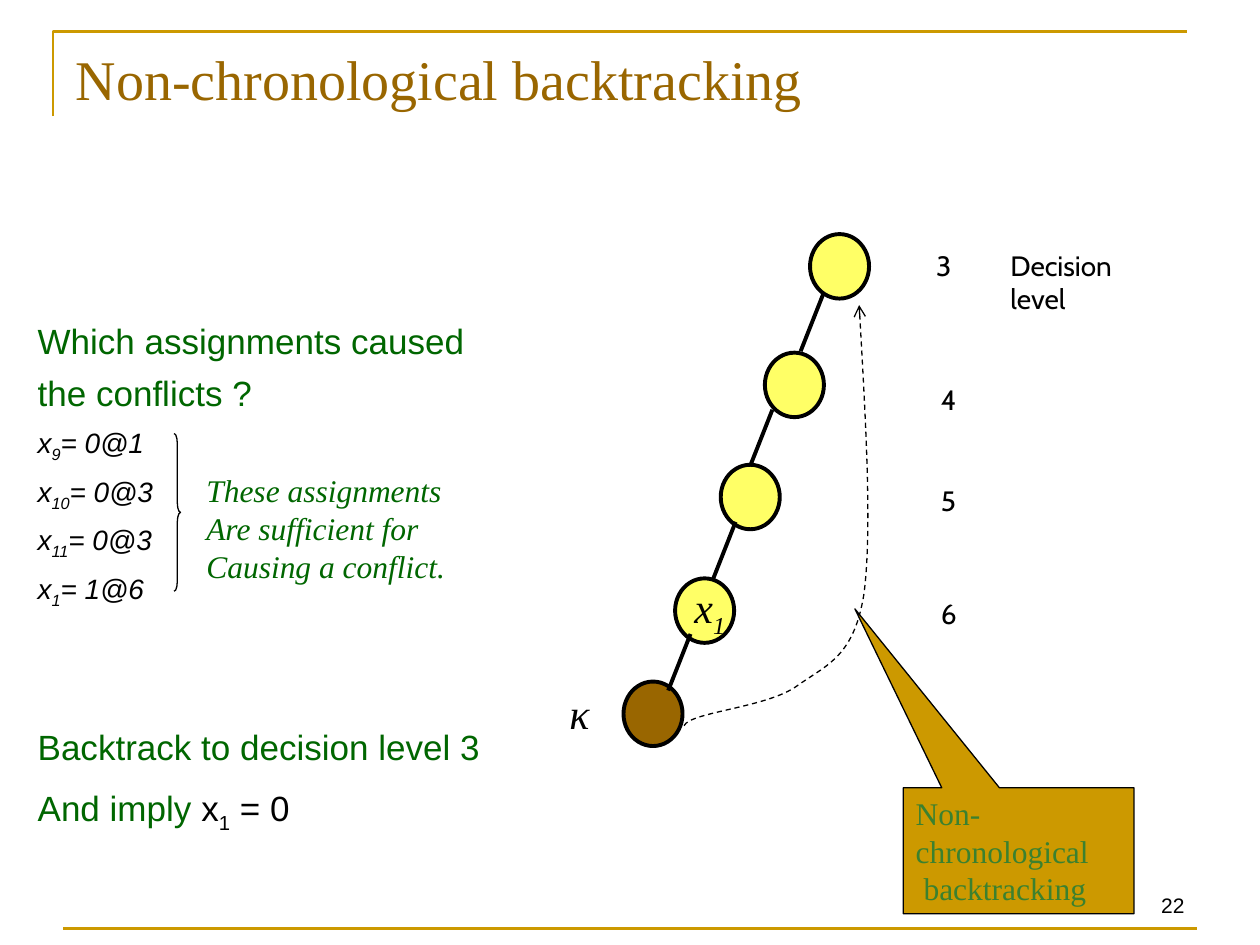
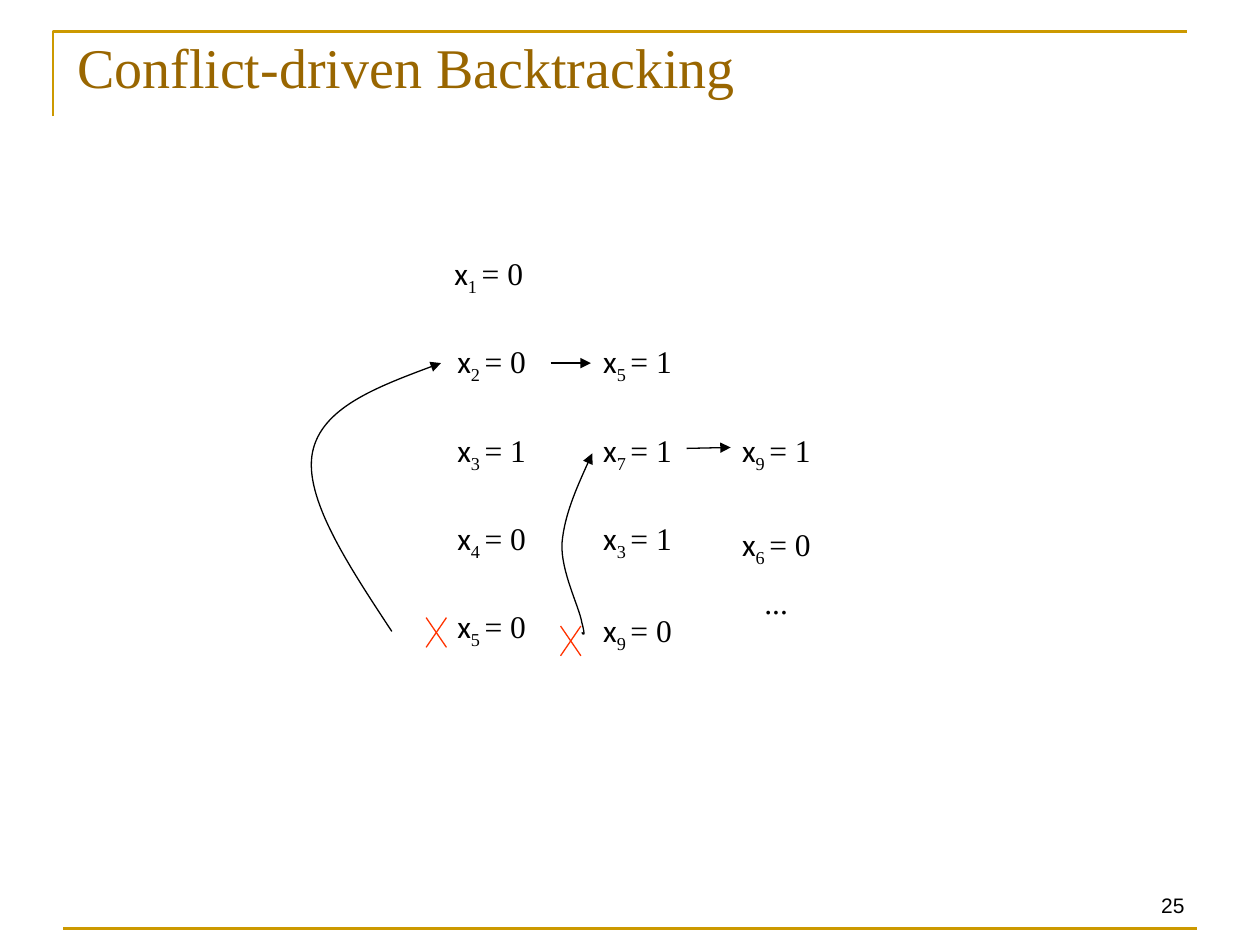
import lxml.etree
import pptx
import pptx.dml.color
import pptx.enum.dml
import pptx.enum.shapes
import pptx.enum.text
import pptx.oxml.ns
import pptx.util

Cm, Pt, qn = pptx.util.Cm, pptx.util.Pt, pptx.oxml.ns.qn
SHAPE = pptx.enum.shapes.MSO_SHAPE
ANCHOR = pptx.enum.text.MSO_ANCHOR
ALIGN = pptx.enum.text.PP_ALIGN

BLACK, GOLD, BROWN = "000000", "CC9900", "996600"
YELLOW, GREEN, LEAF, RED = "FFFF66", "006600", "3B812F", "FF3300"
SERIF, SANS, LABEL, VARIABLE = "Times New Roman", "Arial", "Cabin", "Calibri"


# Shared helpers; all lengths are in centimetres

def rgb(value):
    return pptx.dml.color.RGBColor.from_string(value)


def style_font(span, size, color, font, italic=False):
    span.font.size = Pt(size)
    span.font.name = font
    span.font.italic = italic
    span.font.color.rgb = rgb(color)


def write(para, text, size=18, color=BLACK, font=SERIF, italic=False):
    """Add text to a paragraph; parts between underscores are subscripts."""
    for index, part in enumerate(text.split("_")):
        if part:
            span = para.add_run()
            span.text = part
            style_font(span, size, color, font, italic)
            if index % 2:
                span.font._element.set("baseline", "-25000")


def write_lines(frame, lines, **style):
    for index, line in enumerate(lines):
        para = frame.add_paragraph() if index else frame.paragraphs[0]
        para.alignment = ALIGN.LEFT
        write(para, line, **style)


def add_text(slide, left, top, width, height, lines=(), **style):
    box = slide.shapes.add_textbox(Cm(left), Cm(top), Cm(width), Cm(height))
    box.text_frame.word_wrap = True
    write_lines(box.text_frame, lines, **style)
    return box.text_frame


def style_line(shape, color, weight, head=None, dashed=False):
    shape.line.color.rgb = rgb(color)
    shape.line.width = Pt(weight)
    if dashed:
        shape.line.dash_style = pptx.enum.dml.MSO_LINE.DASH
    if head:
        outline = shape.element.spPr.find(qn("a:ln"))
        lxml.etree.SubElement(outline, qn("a:tailEnd"), type=head)


def add_shape(slide, kind, left, top, width, height, fill=None, weight=0.75):
    shape = slide.shapes.add_shape(kind, Cm(left), Cm(top), Cm(width), Cm(height))
    shape.shadow.inherit = False
    if fill:
        shape.fill.solid()
        shape.fill.fore_color.rgb = rgb(fill)
    else:
        shape.fill.background()
    style_line(shape, BLACK, weight)
    return shape


def add_line(shapes, start, end, color=BLACK, weight=0.75, head=None):
    line = shapes.add_connector(
        pptx.enum.shapes.MSO_CONNECTOR.STRAIGHT,
        Cm(start[0]), Cm(start[1]), Cm(end[0]), Cm(end[1]))
    style_line(line, color, weight, head)
    lxml.etree.SubElement(line.element.spPr, qn("a:effectLst"))


def add_outline(slide, points, color=BLACK, weight=0.75, head=None, dashed=False):
    corners = [(int(Cm(x)), int(Cm(y))) for x, y in points]
    builder = slide.shapes.build_freeform(*corners[0])
    builder.add_line_segments(corners[1:], close=False)
    shape = builder.convert_to_shape()
    shape.fill.background()
    shape.shadow.inherit = False
    style_line(shape, color, weight, head, dashed)
    return shape


def add_curve(slide, left, top, points, **style):
    """Draw a Bézier curve: a start, then two controls and an end per segment."""
    shape = add_outline(slide, [(left + x, top + y) for x, y in points], **style)
    outline = shape.element.find(".//" + qn("a:path"))
    steps = outline.findall(qn("a:lnTo"))
    for first in range(0, len(steps), 3):
        bend = lxml.etree.SubElement(outline, qn("a:cubicBezTo"))
        for step in steps[first:first + 3]:
            bend.append(step[0])
            outline.remove(step)


def start_slide(deck, title, title_box, number):
    """Title, gold frame and page number of every slide."""
    slide = deck.slides.add_slide(deck.slide_layouts[5])
    add_outline(slide, [(1.07, 2.34), (1.07, 0.64), (23.93, 0.64)], GOLD, 1.5)
    add_line(slide.shapes, (1.27, 18.72), (24.13, 18.72), GOLD, 1.5)
    footer = add_text(slide, 18.21, 17.35, 5.92, 1.27, [number], size=12, font=SANS)
    footer.vertical_anchor = ANCHOR.BOTTOM
    footer.paragraphs[0].alignment = ALIGN.RIGHT

    holder = slide.shapes.title
    holder.left, holder.top, holder.width, holder.height = map(Cm, title_box)
    frame = holder.text_frame
    frame.text = title
    frame.auto_size = pptx.enum.text.MSO_AUTO_SIZE.NONE
    frame.vertical_anchor = ANCHOR.TOP
    frame.paragraphs[0].alignment = ALIGN.LEFT
    style_font(frame.paragraphs[0].runs[0], 32, BROWN, SERIF)
    return slide


# Slide 1: decision tree and the assignments behind the conflict

def draw_decision_tree(slide, left, top):
    # Jump back to level 3
    add_curve(slide, left, top, [
        (2.59, 9.93), (2.72, 9.65), (4.27, 9.57), (4.88, 9.12),
        (5.49, 8.69), (6.02, 8.53), (6.22, 7.26),
        (6.38, 5.99), (6.25, 3.71), (6.12, 1.45)], head="arrow", dashed=True)

    # Decisions, from the top down to the conflict
    nodes = [(5.13, 0.02, YELLOW), (4.22, 2.41, YELLOW), (3.33, 4.67, YELLOW),
             (2.41, 6.96, YELLOW), (1.37, 9.04, BROWN)]
    circles = [add_shape(slide, SHAPE.OVAL, left + x, top + y, 1.19, 1.3, fill, 2.25)
               for x, y, fill in nodes]
    frame = circles[3].text_frame
    frame.word_wrap = False
    frame.vertical_anchor = ANCHOR.MIDDLE
    write_lines(frame, [" x_1_"], size=24, italic=True)
    frame.paragraphs[0].alignment = ALIGN.CENTER
    for x, y in [(5.39, 1.24), (4.37, 3.56), (3.63, 5.82), (2.72, 8.08)]:
        add_line(slide.shapes, (left + x, top + y),
                 (left + x - 0.45, top + y + 1.14), weight=2.25)

    # Labels
    for level, x, y in [("3", 7.42, 0.18), ("4", 7.52, 2.89),
                        ("5", 7.52, 4.93), ("6", 7.52, 7.21)]:
        add_text(slide, left + x, top + y, 0.76, 0.94, [level], size=16, font=LABEL)
    add_text(slide, left + 8.92, top + 0.18, 3, 1.63, ["Decision level"],
             size=16, font=LABEL)
    add_text(slide, left + 0.03, top + 9.04, 0.89, 1.27, ["κ"], size=24, italic=True)

    # Callout
    callout = add_shape(slide, SHAPE.RECTANGULAR_CALLOUT,
                        left + 7.01, top + 11.18, 4.65, 2.54, GOLD)
    callout.adjustments[0], callout.adjustments[1] = -0.71, -1.92
    callout.text_frame.word_wrap = True
    callout.text_frame.vertical_anchor = ANCHOR.TOP
    write_lines(callout.text_frame, ["Non-chronological", " backtracking"], color=LEAF)


def draw_assignments(slide, left, top):
    heading = dict(size=20, color=GREEN, font=SANS)
    value = dict(size=16, font=SANS, italic=True)
    lines = [
        ("Which assignments caused", 0, heading),
        ("the conflicts ?", 5.5, heading),
        ("x_9_= 0@1", 7, value),
        ("x_10_= 0@3", 6, value),
        ("x_11_= 0@3", 6, value),
        ("x_1_= 1@6", 6, value),
        ("Backtrack to decision level 3", 66, heading),
        ("And imply ", 11, heading),
    ]
    frame = add_text(slide, left, top, 13.18, 12.06)
    for index, (text, gap, style) in enumerate(lines):
        para = frame.add_paragraph() if index else frame.paragraphs[0]
        para.space_before = Pt(gap)
        write(para, text, **style)
    write(para, "x_1_ = 0", size=20, font=SANS)

    # Brace and remark
    brace = add_shape(slide, SHAPE.RIGHT_BRACE, left + 3, top + 2.42, 0.13, 3.18)
    brace.adjustments[0], brace.adjustments[1] = 1.5, 0.5
    add_text(slide, left + 3.4, top + 3.05, 5.6, 2.54,
             ["These assignments", "Are sufficient for", "Causing a conflict."],
             color=GREEN, italic=True)


# Slide 2: trail of assignments with its two conflicts

def draw_cross(slide, left, top, width=0.41, height=0.6):
    group = slide.shapes.add_group_shape()
    right, bottom = left + width, top + height
    add_line(group.shapes, (left, top), (right, bottom), RED)
    add_line(group.shapes, (left, bottom), (right, top), RED)


def draw_trail(slide, left, top):
    row_step = 1.78
    columns = [
        (2.87, [(0, 1, 0), (1, 2, 0), (2, 3, 1), (3, 4, 0), (4, 5, 0)]),
        (5.81, [(1, 5, 1), (2, 7, 1), (3, 3, 1), (4.04, 9, 0)]),
        (8.61, [(2, 9, 1), (3.07, 6, 0)]),
    ]
    for x, cells in columns:
        for row, variable, value in cells:
            nudge = 0 if row else -0.06
            frame = add_text(slide, left + x + nudge, top + row * row_step, 2.03, 1.02)
            para = frame.paragraphs[0]
            write(para, "x", font=VARIABLE)
            write(para, f"_{variable} _= {value}")
    add_text(slide, left + 9.06, top + 6.63, 1.1, 1.02, ["..."])

    # Implications
    for start, end in [((5, 2.32), (5.81, 2.32)), ((7.74, 4.04), (8.63, 4.02))]:
        add_line(slide.shapes, (left + start[0], top + start[1]),
                 (left + end[0], top + end[1]), head="triangle")

    # Conflicts and the jumps back from them
    draw_cross(slide, left + 2.49, top + 7.45)
    draw_cross(slide, left + 5.2, top + 7.62)
    add_curve(slide, left, top, [
        (1.8, 7.73), (0.91, 6.38), (0.02, 5.03), (0.2, 4.12),
        (0.38, 3.23), (1.57, 2.77), (2.79, 2.32)], head="triangle")
    add_curve(slide, left, top, [
        (5.63, 7.75), (5.66, 7.8), (5.71, 7.85), (5.63, 7.55),
        (5.58, 7.24), (5.2, 6.51), (5.23, 5.95),
        (5.28, 5.39), (5.56, 4.75), (5.84, 4.14)], head="triangle")


def main():
    deck = pptx.Presentation()
    deck.slide_width, deck.slide_height = Cm(25.4), Cm(19.05)

    slide = start_slide(deck, "Non-chronological backtracking",
                        (1.27, 0.76, 22.86, 3.18), "22")
    draw_assignments(slide, 0.51, 6.32)
    draw_decision_tree(slide, 11.2, 4.7)

    slide = start_slide(deck, "Conflict-driven Backtracking",
                        (1.3, 0.53, 22.86, 1.6), "25")
    draw_trail(slide, 6.1, 5)

    deck.save("out.pptx")


if __name__ == "__main__":
    main()
